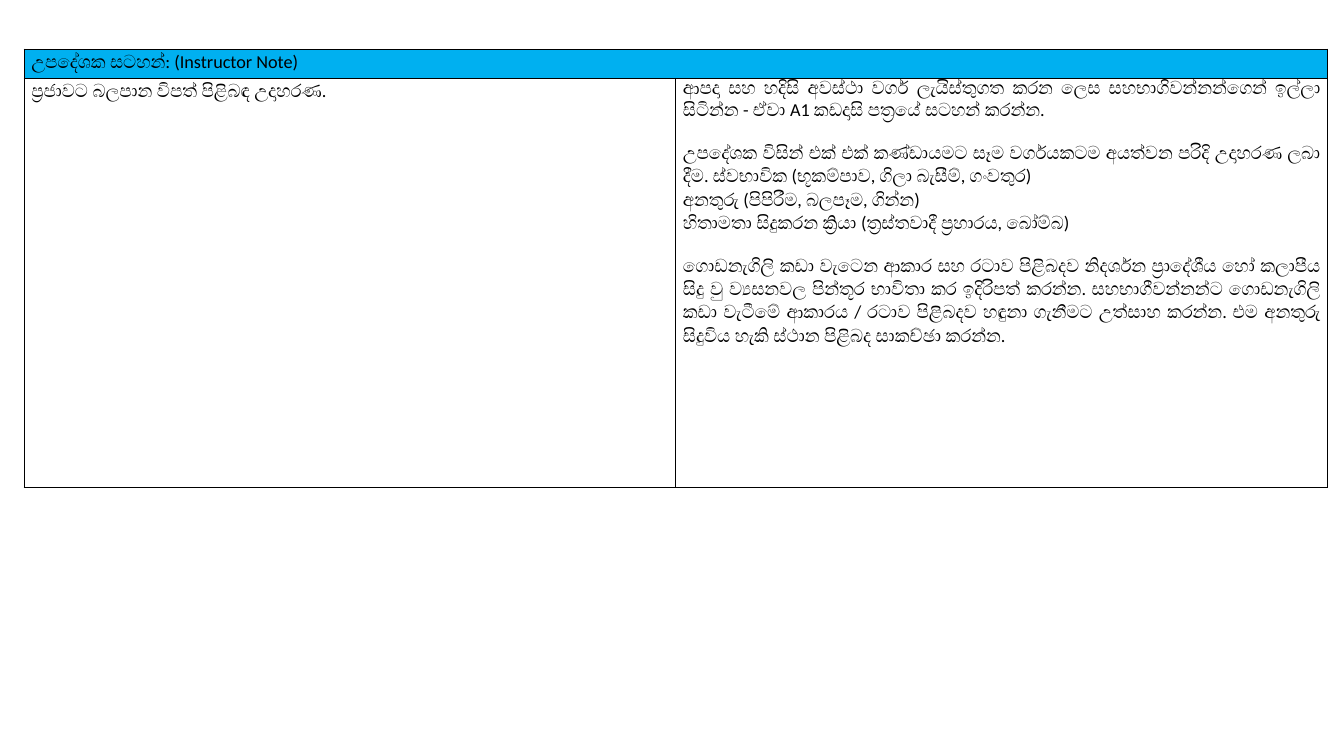
from dataclasses import dataclass

from lxml.etree import SubElement
from pptx import Presentation
from pptx.dml.color import RGBColor as Rgb
from pptx.enum.text import PP_ALIGN as Align
from pptx.oxml.ns import qn
from pptx.util import Cm, Pt


@dataclass(frozen=True)
class Theme:
    """Colours, font and sizes of the slide."""
    font: str = "Calibri"
    size: float = 13
    line_spacing: float = 1.07
    section_gap: float = 16
    ink: str = "000000"
    heading_fill: str = "00B0F0"
    border_width: float = 1


THEME = Theme()
JOINER = chr(0x200D)

HEADING = "උපදේශක සටහන්: (Instructor Note)"
TOPIC = f"ප්{JOINER}රජාවට බලපාන විපත් පිළිබඳ උදාහරණ."
GUIDANCE = [
    ["ආපදා සහ හදිසි අවස්ථා වර්ග ලැයිස්තුගත කරන ලෙස සහභාගිවන්නන්ගෙන් ඉල්ලා සිටින්න - "
     f"ඒවා A1 කඩදාසි පත්{JOINER}රයේ සටහන් කරන්න."],
    ["උපදේශක විසින් එක් එක් කණ්ඩායමට සෑම වර්ගයකටම අයත්වන පරිදි උදාහරණ ලබා දීම. "
     "ස්වභාවික (භූකම්පාව, ගිලා බැසීම්, ගංවතුර)",
     "අනතුරු (පිපිරීම, බලපෑම, ගින්න)",
     f"හිතාමතා සිදුකරන ක්{JOINER}රියා (ත්{JOINER}රස්තවාදී ප්{JOINER}රහාරය, බෝම්බ)"],
    [f"ගොඩනැගිලි කඩා වැටෙන ආකාර සහ රටාව පිළිබදව නිදර්ශන ප්{JOINER}රාදේශීය හෝ කලාපීය සිදු වු "
     f"ව්{JOINER}යසනවල පින්තූර භාවිතා කර ඉදිරිපත් කරන්න. සහභාගීවන්නන්ට ගොඩනැගිලි කඩා වැටීමේ "
     "ආකාරය / රටාව පිළිබදව හඳුනා ගැනීමට උත්සාහ කරන්න. එම අනතුරු සිදුවිය හැකි ස්ථාන "
     "පිළිබද සාකච්ඡා කරන්න."],
]


def write_text(paragraph, text, *, align=Align.LEFT, before=0):
    """Put formatted text into a paragraph."""
    paragraph.alignment = align
    paragraph.line_spacing = THEME.line_spacing
    paragraph.space_before = Pt(before)
    run = paragraph.add_run()
    run.text = text
    run.font.name = THEME.font
    run.font.size = Pt(THEME.size)
    run.font.color.rgb = Rgb.from_string(THEME.ink)


def write_sections(cell, sections, *, align=Align.LEFT):
    """Fill a cell with sections of paragraphs, spaced apart."""
    frame = cell.text_frame
    for section_no, section in enumerate(sections):
        for line_no, text in enumerate(section):
            is_first = section_no == line_no == 0
            paragraph = frame.paragraphs[0] if is_first else frame.add_paragraph()
            gap = THEME.section_gap if section_no and not line_no else 0
            write_text(paragraph, text, align=align, before=gap)


def style_cell(cell, fill=None):
    """Set the margins, borders and fill of a cell."""
    cell.margin_left = cell.margin_right = Cm(0.18)
    cell.margin_top = cell.margin_bottom = 0
    properties = cell._tc.get_or_add_tcPr()
    for side in ("a:lnL", "a:lnR", "a:lnT", "a:lnB"):
        border = SubElement(properties, qn(side), w=str(Pt(THEME.border_width)))
        SubElement(SubElement(border, qn("a:solidFill")), qn("a:srgbClr"), val=THEME.ink)
    if fill:
        cell.fill.solid()
        cell.fill.fore_color.rgb = Rgb.from_string(fill)
    else:
        cell.fill.background()


def add_note_table(slide):
    """Add the instructor note with its heading, topic and guidance."""
    notes = slide.shapes.add_table(2, 2, Cm(0.61), Cm(1.24), Cm(32.84), Cm(11.05)).table
    notes.first_row = notes.horz_banding = False
    for row, height, fill in zip(notes.rows, (0.74, 10.31), (THEME.heading_fill, None)):
        row.height = Cm(height)
        for cell in row.cells:
            style_cell(cell, fill)
    notes.cell(0, 0).merge(notes.cell(0, 1))
    write_sections(notes.cell(0, 0), [[HEADING]])
    write_sections(notes.cell(1, 0), [[TOPIC]])
    write_sections(notes.cell(1, 1), GUIDANCE, align=Align.JUSTIFY)


def main():
    """Build and save the slide."""
    deck = Presentation()
    deck.slide_width, deck.slide_height = Cm(33.87), Cm(19.05)
    add_note_table(deck.slides.add_slide(deck.slide_layouts[6]))
    deck.save("out.pptx")


if __name__ == "__main__":
    main()
